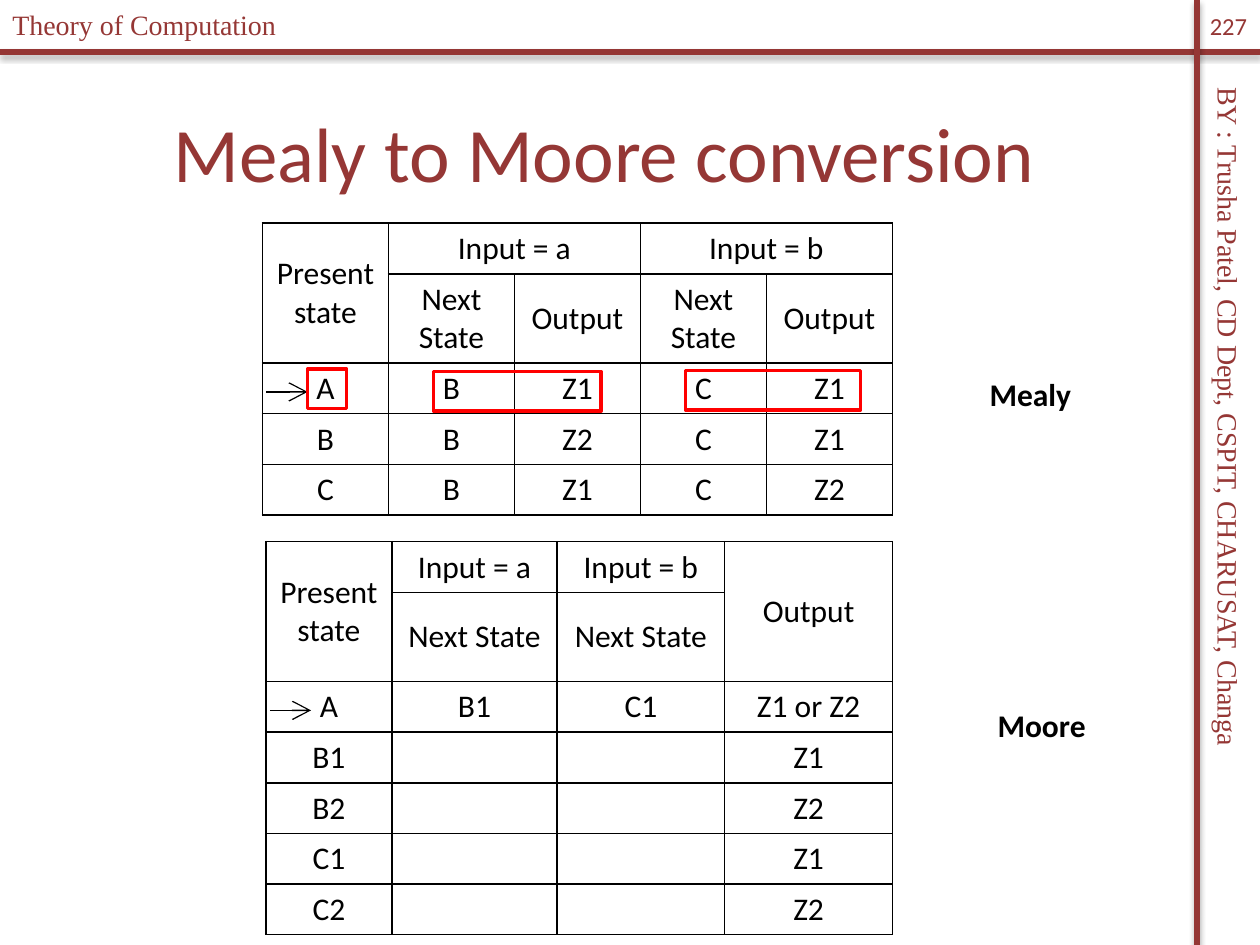
from lxml.etree import SubElement
from pptx import Presentation
from pptx.dml.color import RGBColor
from pptx.enum.shapes import MSO_CONNECTOR, MSO_SHAPE
from pptx.enum.text import MSO_ANCHOR, PP_ALIGN
from pptx.oxml.ns import qn
from pptx.util import Cm, Pt

MAROON = RGBColor(0x95, 0x37, 0x35)
BLACK = RGBColor(0, 0, 0)
RED = RGBColor(0xFF, 0, 0)
SERIF, SANS = "Times New Roman", "Calibri"
HEAD_ROW, SUBHEAD_ROW, BODY_ROW = 1.02, 1.8, 1.02

MEALY = [
    ["Present state", "Input = a", "", "Input = b", ""],
    ["", "Next State", "Output", "Next\nState", "Output"],
    ["A", "B", "Z1", "C", "Z1"],
    ["B", "B", "Z2", "C", "Z1"],
    ["C", "B", "Z1", "C", "Z2"],
]
MOORE = [
    ["Present state", "Input = a", "Input = b", "Output"],
    ["", "Next State", "Next State", ""],
    ["A", "B1", "C1", "Z1 or Z2"],
    ["B1", "", "", "Z1"],
    ["B2", "", "", "Z2"],
    ["C1", "", "", "Z1"],
    ["C2", "", "", "Z2"],
]


def add_run(p, text, size, font, color, bold=False):
    """Add one formatted run to a paragraph."""
    r = p.add_run()
    r.text = text
    r.font.size, r.font.name, r.font.bold = Pt(size), font, bold
    r.font.color.rgb = color


def add_text(s, box, text, size, font, color, align=PP_ALIGN.LEFT,
             anchor=MSO_ANCHOR.TOP, bold=False, wrap=True):
    """Add a one-line text box."""
    sp = s.shapes.add_textbox(*map(Cm, box))
    tf = sp.text_frame
    tf.word_wrap, tf.vertical_anchor = wrap, anchor
    p = tf.paragraphs[0]
    p.alignment = align
    add_run(p, text, size, font, color, bold)
    return sp


def add_line(s, ends, color, width):
    """Add a straight line and return it with its empty effect list."""
    sp = s.shapes.add_connector(MSO_CONNECTOR.STRAIGHT, *map(Cm, ends))
    sp.line.color.rgb, sp.line.width = color, Pt(width)
    effects = SubElement(sp._element.spPr, qn("a:effectLst"))
    return sp, effects


def add_rule(s, ends):
    """Add a thick frame rule with a soft shadow below it."""
    effects = add_line(s, ends, MAROON, 3)[1]
    shadow = SubElement(effects, qn("a:outerShdw"), blurRad=str(Pt(3.1)),
                        dist=str(Pt(1.8)), dir="5400000", rotWithShape="0")
    color = SubElement(shadow, qn("a:srgbClr"), val="000000")
    SubElement(color, qn("a:alpha"), val="35000")


def add_arrow(s, x, y, length):
    """Add a thin horizontal arrow marking the start state."""
    sp = add_line(s, (x, y, x + length, y), BLACK, 0.75)[0]
    SubElement(sp.line._get_or_add_ln(), qn("a:tailEnd"),
               type="arrow", w="lg", len="lg")


def add_highlight(s, x, y, w, h):
    """Add a red outline around table entries."""
    sp = s.shapes.add_shape(MSO_SHAPE.RECTANGLE, *map(Cm, (x, y, w, h)))
    sp.shadow.inherit = False
    sp.fill.background()
    sp.line.color.rgb, sp.line.width = RED, Pt(2)


def format_cell(cell, text):
    """Fill a cell with centred text, thin black borders and no fill."""
    tf = cell.text_frame
    cell.vertical_anchor = MSO_ANCHOR.MIDDLE
    for i, line in enumerate(text.split("\n")):
        p = tf.add_paragraph() if i else tf.paragraphs[0]
        p.alignment = PP_ALIGN.CENTER
        if line:
            add_run(p, line, 18, SANS, BLACK)
    tc_pr = cell._tc.get_or_add_tcPr()
    for side in ("lnL", "lnR", "lnT", "lnB"):
        ln = SubElement(tc_pr, qn(f"a:{side}"), w=str(Pt(1)))
        fill = SubElement(ln, qn("a:solidFill"))
        SubElement(fill, qn("a:srgbClr"), val=str(BLACK))
    cell.fill.background()


def add_state_table(s, x, y, rows, widths, merges):
    """Add a transition table with its start arrow."""
    heights = [HEAD_ROW, SUBHEAD_ROW] + [BODY_ROW] * (len(rows) - 2)
    frame = s.shapes.add_table(len(rows), len(widths), Cm(x), Cm(y),
                               Cm(sum(widths)), Cm(sum(heights)))
    table = frame.table
    table.first_row = table.horz_banding = False
    for col, w in zip(table.columns, widths):
        col.width = Cm(w)
    for row, h in zip(table.rows, heights):
        row.height = Cm(h)
    for i, values in enumerate(rows):
        for j, text in enumerate(values):
            format_cell(table.cell(i, j), text)
    for first, last in merges:
        table.cell(*first).merge(table.cell(*last))
    add_arrow(s, x + 0.08, y + 3.4, 0.83)


def add_label(s, x, y, text):
    """Add the bold machine name beside a table."""
    add_text(s, (x, y, 2.8, 1.02), text, 18, SANS, BLACK, bold=True)


def add_frame(s, x, y, w, h):
    """Add the page rules, course name, author and page number."""
    right, top = x + w - 1.27, y + 1.05
    add_rule(s, (x, top, x + w, top))
    add_rule(s, (right, y, right, y + h))
    author = add_text(s, (x + 16.61, y + 9.19, 16.31, 0.94),
                      "BY : Trusha Patel, CD Dept, CSPIT, CHARUSAT, Changa",
                      16, SERIF, MAROON)
    author.rotation = 90
    add_text(s, (x, y + 0.03, 8.36, 0.94), "Theory of Computation",
             16, SERIF, MAROON)
    add_text(s, (right, y, 1.27, 1.02), "227", 14, SANS, MAROON,
             PP_ALIGN.CENTER, MSO_ANCHOR.MIDDLE, wrap=False)


def add_mealy(s, x, y):
    """Add the Mealy table, its label and the highlighted first row."""
    add_state_table(s, x, y, MEALY, [2.54] * 5,
                    [((0, 0), (1, 0)), ((0, 1), (0, 2)), ((0, 3), (0, 4))])
    add_label(s, x + 14.41, y + 2.94, "Mealy")
    for dx, dy, w in ((0.91, 2.94, 0.79), (3.45, 2.99, 3.38), (8.53, 2.97, 3.53)):
        add_highlight(s, x + dx, y + dy, w, 0.8)


def add_moore(s, x, y):
    """Add the Moore table and its label."""
    add_state_table(s, x, y, MOORE, [2.54, 3.33, 3.38, 3.38],
                    [((0, 0), (1, 0)), ((0, 3), (1, 3))])
    add_label(s, x + 14.5, y + 3.18, "Moore")


def main():
    """Build the slide and save it."""
    prs = Presentation()
    prs.slide_width, prs.slide_height = Cm(25.4), Cm(19.05)
    s = prs.slides.add_slide(prs.slide_layouts[6])
    add_frame(s, 0, 0, 25.4, 19.05)
    add_text(s, (0.43, 1.47, 23.5, 3.18), "Mealy to Moore conversion", 44, SANS,
             MAROON, PP_ALIGN.CENTER, MSO_ANCHOR.MIDDLE)
    add_mealy(s, 5.29, 4.5)
    add_moore(s, 5.36, 10.92)
    prs.save("out.pptx")


if __name__ == "__main__":
    main()
